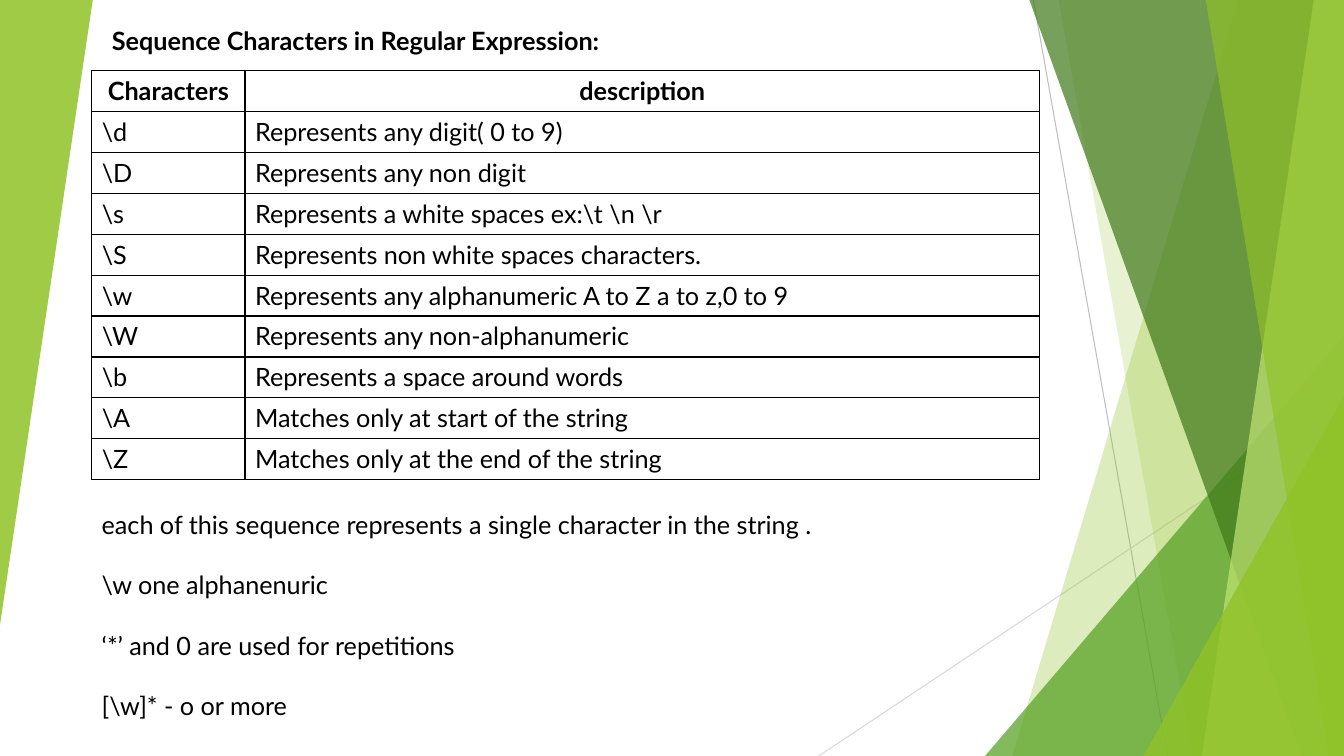
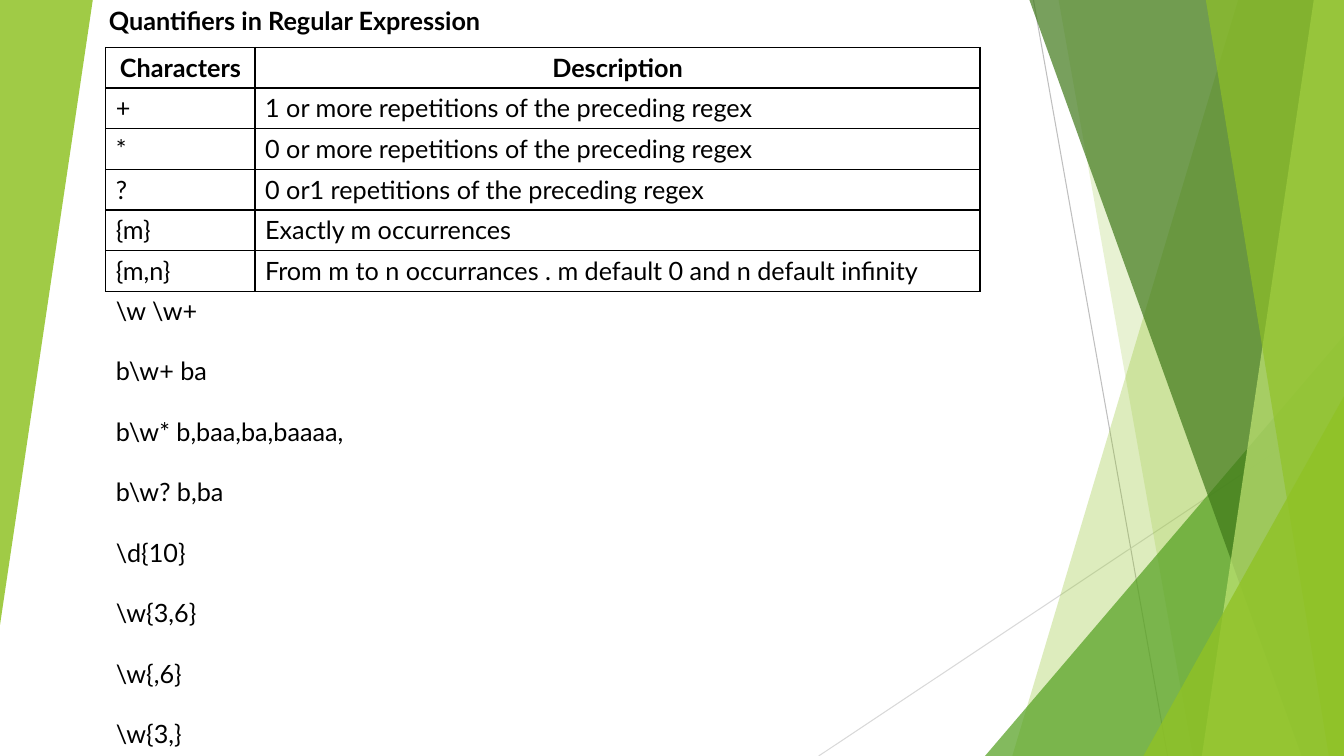
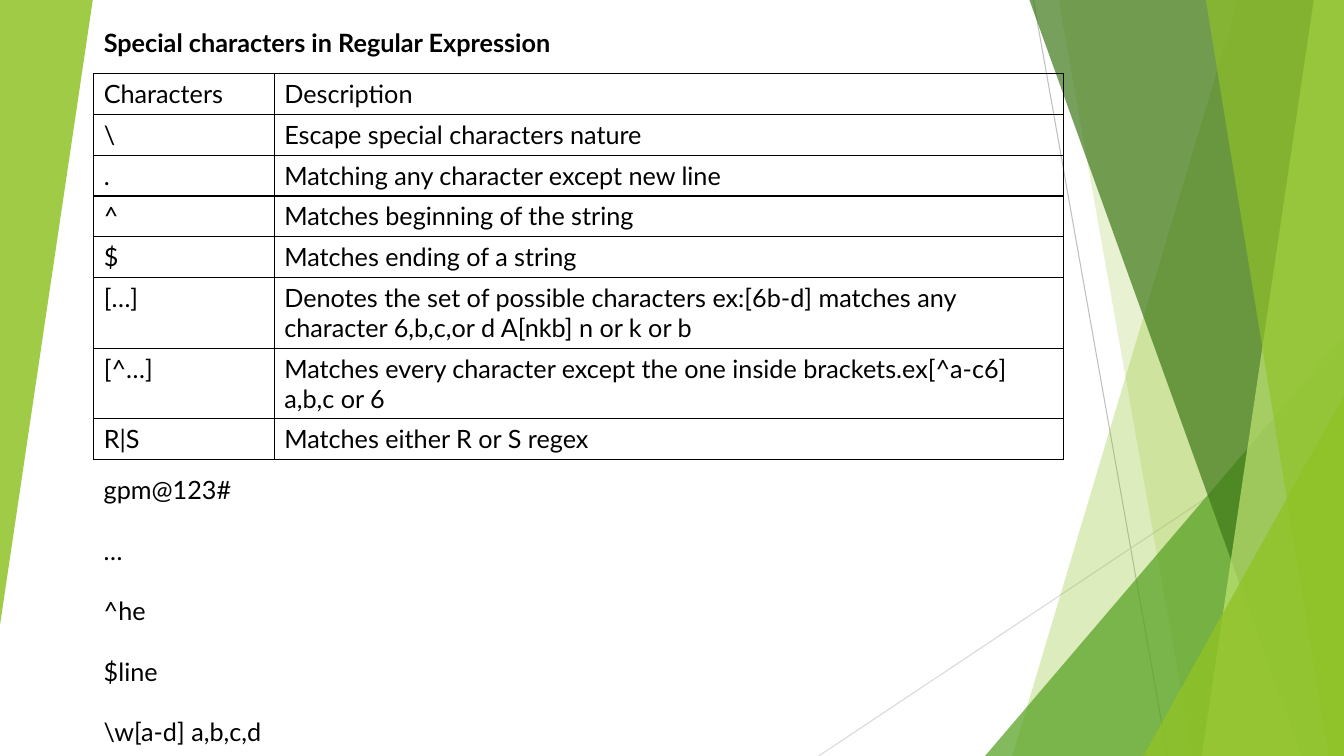
from lxml.etree import SubElement
from pptx import Presentation
from pptx.dml.color import RGBColor
from pptx.enum.shapes import MSO_CONNECTOR, MSO_SHAPE
from pptx.enum.text import MSO_ANCHOR, MSO_AUTO_SIZE as AutoSize, PP_ALIGN
from pptx.oxml.ns import qn
from pptx.util import Inches, Pt

FONT = "Lato"
BLACK = RGBColor(0x00, 0x00, 0x00)
LIME = RGBColor(0x90, 0xC2, 0x26)
GREEN = RGBColor(0x54, 0xA0, 0x21)
FOREST = RGBColor(0x3F, 0x78, 0x19)
PALE_LIME = RGBColor(0xC0, 0xE4, 0x74)
GREY = RGBColor(0xBF, 0xBF, 0xBF)
LIGHT_GREY = RGBColor(0xD9, 0xD9, 0xD9)
WIDTH, HEIGHT = 13.33, 7.5
LINE_HEIGHT = 0.3

RULES = [
    ((10.25, 0), (11.58, HEIGHT), GREY),
    ((WIDTH, 4.03), (8.12, HEIGHT), LIGHT_GREY),
]
BANDS_AND_WEDGES = [
    ("band", (12.28, 10.04), LIME, 30),
    ("band", (10.5, 11.83), LIME, 20),
    ("wedge", (9.77, 3.33, 3.56, 4.17, 0), GREEN, 72),
    ("band", (10.21, 12.91), FOREST, 70),
    ("band", (13.03, 11.92), PALE_LIME, 70),
    ("band", (11.96, 13.18), LIME, 65),
    ("wedge", (11.34, 3.93, 1.99, 3.57, 0), LIME, 80),
    ("wedge", (0, 0, 0.92, 6.2, 180), LIME, 85),
]

SLIDES = [
    {
        "title": "Sequence Characters in Regular Expression:",
        "title_at": (1.01, 0.2, 6.67, 0.4),
        "table_at": (0.91, 0.7, 9.4, 4.06),
        "columns": (1.52, 7.88),
        "bold_header": True,
        "rows": [
            ("Characters", "description"),
            (r"\d", "Represents any digit( 0 to 9)"),
            (r"\D", "Represents any non digit"),
            (r"\s", r"Represents a white spaces ex:\t \n \r"),
            (r"\S", "Represents non white spaces characters."),
            (r"\w", "Represents any alphanumeric A to Z a to z,0 to 9"),
            (r"\W", "Represents any non-alphanumeric"),
            (r"\b", "Represents a space around words"),
            (r"\A", "Matches only at start of the string"),
            (r"\Z", "Matches only at the end of the string"),
        ],
        "examples_at": (0.91, 5, 8.88, 2.22),
        "examples": [
            "each of this sequence represents a single character in the string .",
            r"\w one alphanenuric",
            "‘*’ and 0 are used for repetitions",
            r"[\w]* - o or more",
        ],
    },
    {
        "title": "Quantifiers in Regular Expression",
        "title_at": (0.98, 0, 9.88, 0.4),
        "table_at": (1.05, 0.47, 8.67, 2.42),
        "columns": (1.48, 7.19),
        "bold_header": True,
        "rows": [
            ("Characters", "Description"),
            ("+", "1 or more repetitions of the preceding regex"),
            ("*", "0 or more repetitions of the preceding regex"),
            ("?", "0 or1 repetitions of the preceding regex"),
            ("{m}", "Exactly m occurrences"),
            ("{m,n}", "From m to n occurrances . m default 0 and n default infinity"),
        ],
        "examples_at": (1.05, 2.88, 6.67, 4.64),
        "examples": [
            r"\w \w+",
            r"b\w+ ba",
            r"b\w* b,baa,ba,baaaa,",
            r"b\w? b,ba",
            r"\d{10}",
            r"\w{3,6}",
            r"\w{,6}",
            r"\w{3,}",
        ],
    },
    {
        "title": "Special characters in Regular Expression",
        "title_at": (0.93, 0.22, 9.45, 0.4),
        "table_at": (0.93, 0.73, 9.62, 3.24),
        "columns": (1.79, 7.83),
        "bold_header": False,
        "rows": [
            ("Characters", "Description"),
            ("\\", "Escape special characters nature"),
            (".", "Matching any character except new line"),
            ("^", "Matches beginning of the string"),
            ("$", "Matches ending of a string"),
            ("[…]", "Denotes the set of possible characters ex:[6b-d] matches any "
                    "character 6,b,c,or d A[nkb] n or k or b"),
            ("[^…]", "Matches every character except the one inside brackets.ex[^a-c6] "
                     "a,b,c or 6"),
            ("R|S", "Matches either R or S regex"),
        ],
        "examples_at": (0.93, 4.66, 9.29, 2.83),
        "examples": ["gpm@123#", "…", "^he", "$line", r"\w[a-d] a,b,c,d"],
    },
]


def inches(values):
    return [Inches(value) for value in values]


def style(para, bold=False, align=PP_ALIGN.LEFT):
    para.alignment = align
    font = para.font
    font.name, font.size, font.bold = FONT, Pt(18), bold
    font.color.rgb = BLACK


def draw_rule(slide, start, end, colour):
    rule = slide.shapes.add_connector(MSO_CONNECTOR.STRAIGHT, *inches(start + end))
    rule.line.color.rgb = colour
    rule.line.width = Pt(0.75)
    SubElement(rule.element.spPr, qn("a:effectLst"))


def draw_band(slide, top_x, bottom_x):
    outline = slide.shapes.build_freeform(Inches(top_x), 0)
    corners = [(WIDTH, 0), (WIDTH, HEIGHT), (bottom_x, HEIGHT)]
    outline.add_line_segments([inches(corner) for corner in corners])
    return outline.convert_to_shape()


def draw_wedge(slide, left, top, width, height, rotation):
    wedge = slide.shapes.add_shape(
        MSO_SHAPE.ISOSCELES_TRIANGLE, *inches((left, top, width, height)))
    wedge.adjustments[0] = 1
    wedge.rotation = rotation
    return wedge


def paint(shape, colour, opacity):
    shape.shadow.inherit = False
    shape.line.fill.background()
    shape.fill.solid()
    shape.fill.fore_color.rgb = colour
    tint = shape.element.spPr.find(qn("a:solidFill"))[0]
    SubElement(tint, qn("a:alpha"), val=str(opacity * 1000))


def decorate_layout(layout, slide):
    for start, end, colour in RULES:
        draw_rule(slide, start, end, colour)
    for kind, place, colour, opacity in BANDS_AND_WEDGES:
        draw = draw_band if kind == "band" else draw_wedge
        paint(draw(slide, *place), colour, opacity)
    drawn = [shape for shape in slide.shapes if not shape.is_placeholder]
    for number, shape in enumerate(drawn, 101):
        shape.element.xpath(".//p:cNvPr")[0].set("id", str(number))
        layout.shapes.element.append(shape.element)


def set_title(slide, text, place):
    title = slide.shapes.title
    title.left, title.top, title.width, title.height = inches(place)
    frame = title.text_frame
    frame.text = text
    frame.word_wrap = True
    frame.vertical_anchor = MSO_ANCHOR.TOP
    frame.auto_size = AutoSize.SHAPE_TO_FIT_TEXT
    style(frame.paragraphs[0], bold=True)


def add_borders(cell):
    properties = cell._tc.get_or_add_tcPr()
    for side in ("a:lnL", "a:lnR", "a:lnT", "a:lnB"):
        border = SubElement(properties, qn(side), w=str(Pt(1)))
        fill = SubElement(border, qn("a:solidFill"))
        SubElement(fill, qn("a:srgbClr"), val=str(BLACK))


def add_character_table(slide, rows, place, columns, bold_header):
    table = slide.shapes.add_table(len(rows), len(columns), *inches(place)).table
    table.first_row = table.horz_banding = False
    for column, width in zip(table.columns, columns):
        column.width = Inches(width)
    for row_number, row in enumerate(rows):
        bold = bold_header and row_number == 0
        align = PP_ALIGN.CENTER if bold else PP_ALIGN.LEFT
        for column_number, text in enumerate(row):
            cell = table.cell(row_number, column_number)
            cell.text = text
            add_borders(cell)
            cell.fill.background()
            style(cell.text_frame.paragraphs[0], bold, align)


def add_examples(slide, lines, place):
    frame = slide.shapes.add_textbox(*inches(place)).text_frame
    frame.word_wrap = True
    frame.auto_size = AutoSize.SHAPE_TO_FIT_TEXT
    frame.text = "\n".join(lines)
    for number, para in enumerate(frame.paragraphs):
        if number:
            para.space_before = Inches(LINE_HEIGHT)
        style(para)


def main():
    deck = Presentation()
    deck.slide_width, deck.slide_height = inches((WIDTH, HEIGHT))
    layout = deck.slide_layouts[5]
    for number, content in enumerate(SLIDES):
        slide = deck.slides.add_slide(layout)
        if number == 0:
            decorate_layout(layout, slide)
        set_title(slide, content["title"], content["title_at"])
        add_character_table(slide, content["rows"], content["table_at"],
                            content["columns"], content["bold_header"])
        add_examples(slide, content["examples"], content["examples_at"])
    deck.save("out.pptx")


if __name__ == "__main__":
    main()
